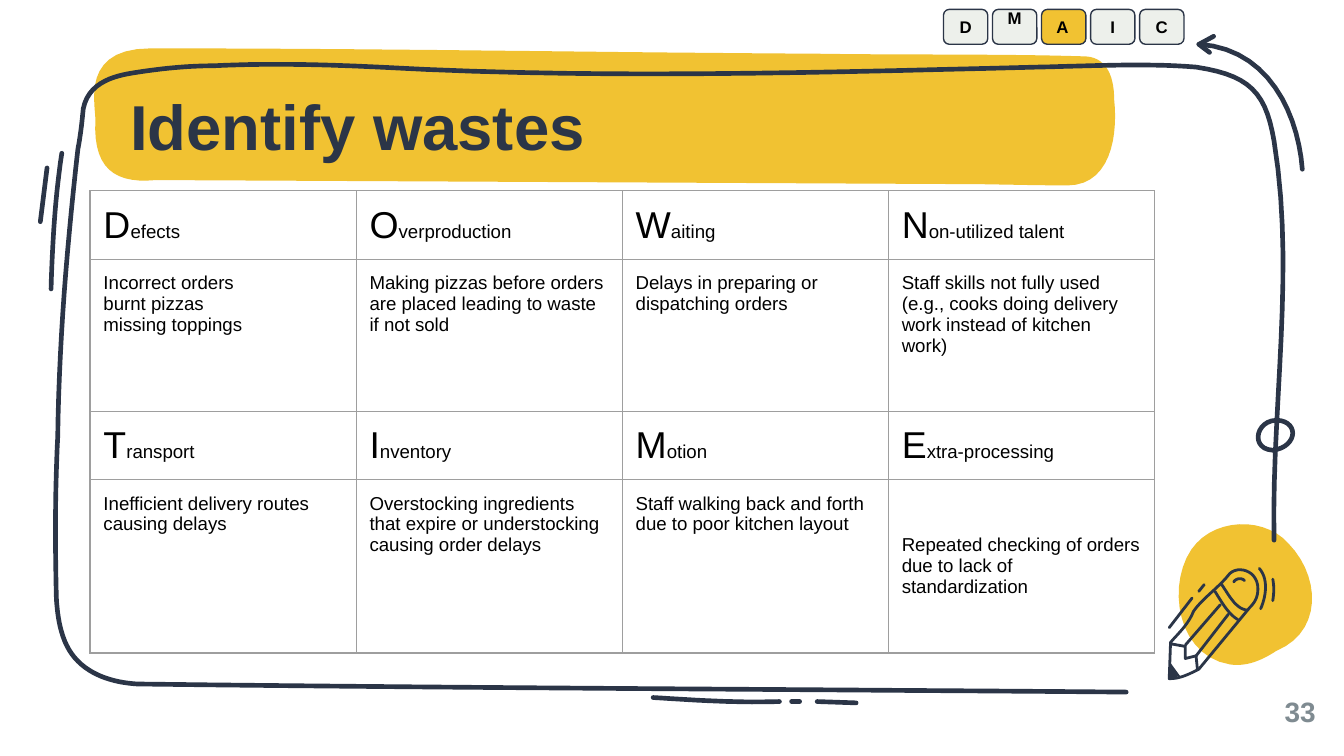
from lxml.etree import SubElement
from pptx import Presentation
from pptx.dml.color import RGBColor
from pptx.enum.shapes import MSO_SHAPE
from pptx.enum.text import MSO_ANCHOR, PP_ALIGN
from pptx.oxml.ns import qn
from pptx.util import Inches, Pt

NAVY = RGBColor(0x2B, 0x35, 0x47)
YELLOW = RGBColor(0xF1, 0xC2, 0x32)
PALE = RGBColor(0xED, 0xF0, 0xEB)
GREY = RGBColor(0x7F, 0x8B, 0x91)
BLACK = RGBColor(0, 0, 0)
BORDER = "9E9E9E"
FONT = "Arial"

prs = Presentation()
prs.slide_width, prs.slide_height = Inches(10), Inches(10) * 9 // 16
s = prs.slides.add_slide(prs.slide_layouts[5])


def draw(path, width=0, fill=None, steps=14):
    """Draw a path given as a start point, then (x, y) lines or six-number Bezier curves."""
    x, y = path[0]
    points = []
    for seg in path[1:]:
        if len(seg) == 2:
            points.append(seg)
        else:
            x1, y1, x2, y2, x3, y3 = seg
            for i in range(1, steps + 1):
                t = i / steps
                u = 1 - t
                a, b, c, d = u**3, 3 * u * u * t, 3 * u * t * t, t**3
                points.append((a * x + b * x1 + c * x2 + d * x3,
                               a * y + b * y1 + c * y2 + d * y3))
        x, y = seg[-2:]
    fb = s.shapes.build_freeform(Inches(path[0][0]), Inches(path[0][1]), scale=1.0)
    fb.add_line_segments([(Inches(px), Inches(py)) for px, py in points], close=fill is not None)
    sp = fb.convert_to_shape()
    sp.shadow.inherit = False
    if fill is None:
        sp.fill.background()
    else:
        sp.fill.solid()
        sp.fill.fore_color.rgb = fill
    if width:
        sp.line.color.rgb = NAVY
        sp.line.width = Pt(width)
        sp.element.spPr.find(qn("a:ln")).set("cap", "rnd")
    else:
        sp.line.fill.background()
    return sp


def add_run(p, text, size, color=BLACK, bold=False):
    r = p.add_run()
    r.text = text
    r.font.name, r.font.size, r.font.bold = FONT, Pt(size), bold
    r.font.color.rgb = color


# Yellow blob and title band
blob = draw([(9.67, 4.14), (9.55, 3.9, 9.18, 3.81, 8.96, 4), (8.71, 4.22, 8.66, 4.74, 9.02, 4.9),
             (9.14, 4.95, 9.26, 4.93, 9.38, 4.89), (9.75, 4.84, 9.84, 4.44, 9.67, 4.14)], fill=YELLOW)
blob.rotation = 345.3
draw([(8.29, 0.74), (8.29, 0.58, 8.24, 0.43, 8.08, 0.42), (7.41, 0.4, 6.75, 0.41, 6.08, 0.4),
      (4.35, 0.39, 2.85, 0.36, 1.12, 0.36), (0.6, 0.36, 0.71, 0.77, 0.71, 0.89),
      (0.69, 1.25, 0.85, 1.37, 1.16, 1.34), (3.16, 1.35), (7.15, 1.37),
      (7.42, 1.37, 7.68, 1.38, 7.94, 1.38), (8.26, 1.38, 8.32, 1.02, 8.29, 0.74)], fill=YELLOW)

# Hand-drawn frame, arrow, loop and dashes
frame = [(9.48, 4.02), (9.46, 3.02, 9.64, 2.02, 9.48, 1.05), (9.42, 0.69, 9.3, 0.56, 8.9, 0.5),
         (8.55, 0.47, 8.15, 0.49, 7.72, 0.5), (6.09, 0.54, 4.45, 0.59, 2.82, 0.5),
         (2.41, 0.48, 2, 0.47, 1.59, 0.49), (1.4, 0.49, 1.2, 0.51, 1.01, 0.54),
         (0.88, 0.56, 0.66, 0.6, 0.62, 0.81), (0.61, 0.91, 0.6, 1.01, 0.58, 1.11),
         (0.5, 1.82, 0.44, 2.53, 0.43, 3.25), (0.41, 3.65, 0.41, 4.05, 0.42, 4.45),
         (0.43, 4.62, 0.46, 4.8, 0.58, 4.92), (0.7, 5.04, 0.87, 5.08, 1.02, 5.09),
         (3.47, 5.12, 5.93, 5.13, 8.38, 5.15)]
arrow = [(9.69, 1.26), (9.66, 0.85, 9.44, 0.36, 8.92, 0.33)]
arrow_head = [(9.03, 0.27), (8.92, 0.33), (9, 0.39)]
loop = [(9.53, 3.13), (9.67, 3.16, 9.64, 3.33, 9.47, 3.35), (9.29, 3.34, 9.35, 3.1, 9.53, 3.13)]
bottom_dashes = [[(4.86, 5.19), (5.17, 5.21, 5.48, 5.23, 5.8, 5.22)],
                 [(5.89, 5.22), (5.95, 5.22)], [(6.08, 5.22), (6.37, 5.23)]]
left_dashes = [[(0.46, 1.14), (0.41, 1.47, 0.39, 1.81, 0.38, 2.15)], [(0.35, 1.25), (0.3, 1.65)]]
for path in [frame, arrow, arrow_head, loop] + bottom_dashes + left_dashes:
    draw(path, 2.5)

# Pencil
outline = [(8.7, 5.05), (8.71, 4.78), (8.77, 4.71, 8.84, 4.65, 8.88, 4.55),
           (8.94, 4.46, 9.07, 4.37, 9.14, 4.28), (9.2, 4.2, 9.36, 4.24, 9.36, 4.38),
           (9.36, 4.44, 9.34, 4.48, 9.3, 4.52), (8.92, 4.98), (8.84, 5.02, 8.78, 5.05, 8.7, 5.05)]
ferrule = [[(9.04, 4.4), (9.09, 4.48, 9.14, 4.57, 9.21, 4.61)],
           [(9.09, 4.35), (9.14, 4.42, 9.19, 4.53, 9.28, 4.54)]]
grooves = [[(9.08, 4.5), (8.82, 4.8)], [(9.14, 4.57), (8.9, 4.88)]]
cut_edge = [(8.71, 4.79), (8.82, 4.81), (8.82, 4.9), (8.9, 4.88), (8.91, 4.98)]
highlight = [(9.18, 4.33), (9.2, 4.3, 9.24, 4.3, 9.26, 4.32)]
motion = [[(9.47, 4.31), (9.48, 4.36, 9.48, 4.41, 9.47, 4.47)],
          [(9.37, 4.23), (9.44, 4.31, 9.42, 4.44, 9.38, 4.53)],
          [(8.7, 4.67), (8.87, 4.45)], [(8.92, 4.4), (8.96, 4.35)]]
for path in [outline, cut_edge, highlight] + ferrule + grooves + motion:
    draw(path, 1.5)
draw([(8.7, 4.92), (8.78, 5.03), (8.7, 5.05)], fill=NAVY)

# Title, raised above the band
title = s.shapes.title
title.left, title.top, title.width, title.height = Inches(0.97), Inches(0.75), Inches(7.03), Inches(0.43)
title.element.getparent().append(title.element)
number = s.shapes.add_textbox(Inches(9.19), Inches(5.13), Inches(0.6), Inches(0.33))
for sp, text, size, color, align in [(title, "Identify wastes", 34, NAVY, PP_ALIGN.LEFT),
                                     (number, "33", 15, GREY, PP_ALIGN.RIGHT)]:
    tf = sp.text_frame
    tf.word_wrap = True
    tf.vertical_anchor = MSO_ANCHOR.MIDDLE
    tf.margin_left = tf.margin_right = tf.margin_top = tf.margin_bottom = 0
    p = tf.paragraphs[0]
    p.alignment = align
    add_run(p, text, size, color, True)
title.text_frame.paragraphs[0].line_spacing = 0.9

# DOWNTIME table
rows = [
    ["Defects", "Overproduction", "Waiting", "Non-utilized talent"],
    ["Incorrect orders\nburnt pizzas\nmissing toppings",
     "Making pizzas before orders are placed leading to waste if not sold",
     "Delays in preparing or dispatching orders",
     "Staff skills not fully used (e.g., cooks doing delivery work instead of kitchen work)"],
    ["Transport", "Inventory", "Motion", "Extra-processing"],
    ["Inefficient delivery routes causing delays",
     "Overstocking ingredients that expire or understocking causing order delays",
     "Staff walking back and forth due to poor kitchen layout",
     "Repeated checking of orders due to lack of standardization"],
]
heights = [0.51, 1.13, 0.51, 1.29]
table = s.shapes.add_table(4, 4, Inches(0.67), Inches(1.42), Inches(7.92), Inches(sum(heights))).table
table.first_row = table.horz_banding = False
for i, row in enumerate(rows):
    is_heading = i % 2 == 0
    table.rows[i].height = Inches(heights[i])
    for j, text in enumerate(row):
        cell = table.cell(i, j)
        cell.margin_left = cell.margin_right = cell.margin_top = Inches(0.1)
        cell.margin_bottom = Inches(0.07 if is_heading else 0.1)
        tc_pr = cell._tc.get_or_add_tcPr()
        for side in ("a:lnL", "a:lnR", "a:lnT", "a:lnB"):
            ln = SubElement(tc_pr, qn(side), w=str(Pt(0.75)))
            SubElement(SubElement(ln, qn("a:solidFill")), qn("a:srgbClr"), val=BORDER)
        cell.fill.background()
        tf = cell.text_frame
        for k, line in enumerate(text.split("\n")):
            p = tf.add_paragraph() if k else tf.paragraphs[0]
            if is_heading:
                add_run(p, line[0], 20)
                line = line[1:]
            add_run(p, line, 10)
table.cell(3, 3).vertical_anchor = MSO_ANCHOR.MIDDLE

# DMAIC phase keys, with the current phase in yellow
for i, letter in enumerate(["D", "M ", "A", "I", "C"]):
    current = letter == "A"
    sp = s.shapes.add_shape(MSO_SHAPE.ROUNDED_RECTANGLE, Inches(7.02 + i * 1.46 / 4), Inches(0.07),
                            Inches(0.33), Inches(0.26))
    sp.shadow.inherit = False
    sp.fill.solid()
    sp.fill.fore_color.rgb = YELLOW if current else PALE
    sp.line.color.rgb = NAVY
    sp.line.width = Pt(0.75)
    tf = sp.text_frame
    tf.word_wrap = True
    tf.vertical_anchor = MSO_ANCHOR.MIDDLE
    tf.margin_left = tf.margin_right = Inches(0.1)
    raised = 0.07 if letter == "M " else 0
    tf.margin_top, tf.margin_bottom = Inches(0.1 - raised), Inches(0.1 + raised)
    p = tf.paragraphs[0]
    p.alignment = PP_ALIGN.LEFT if current else PP_ALIGN.CENTER
    add_run(p, letter, 9, BLACK, True)

prs.save("out.pptx")
